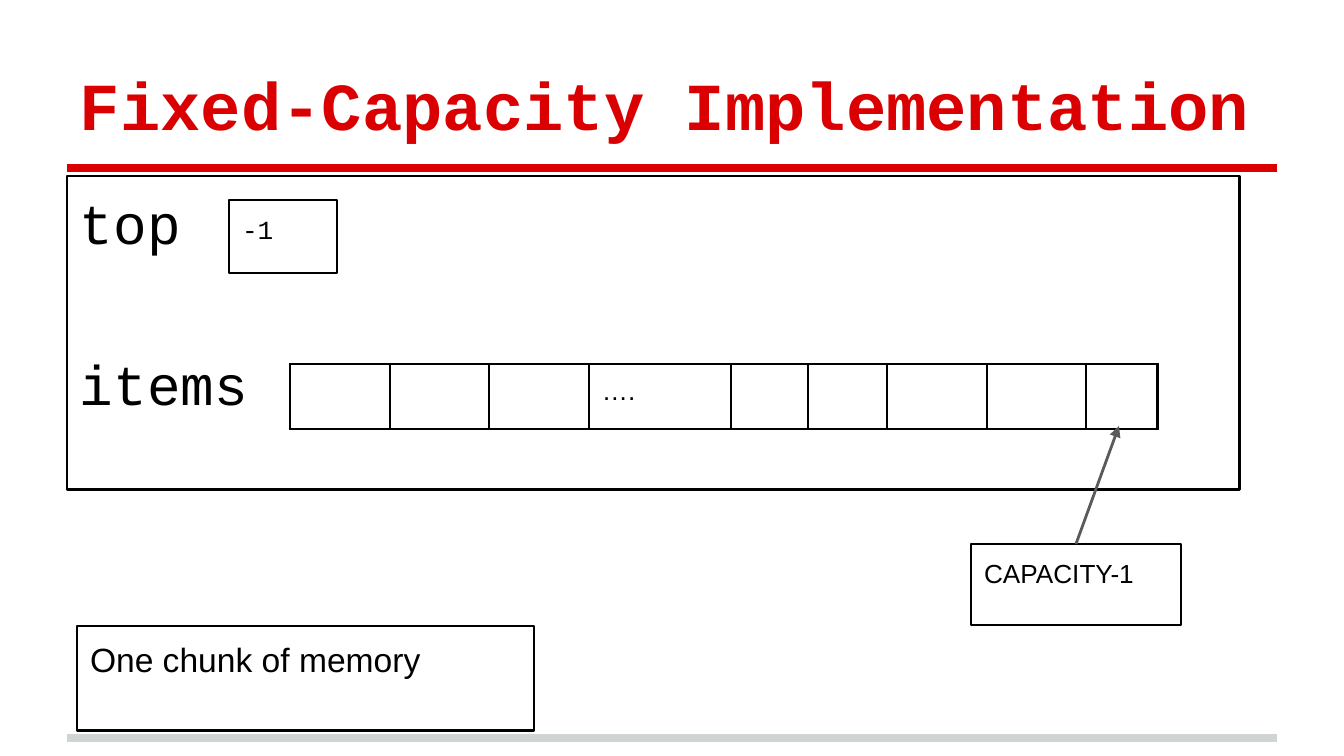
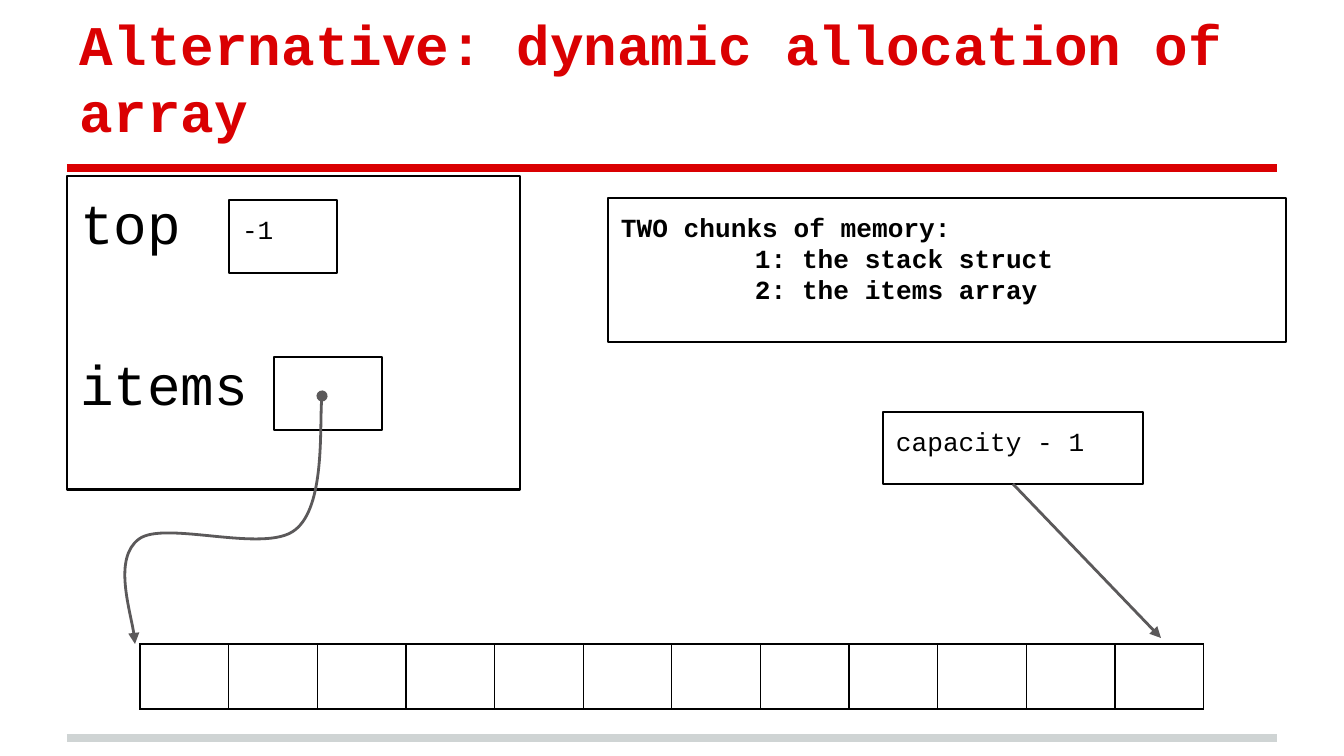
from dataclasses import dataclass

from lxml import etree
from pptx import Presentation
from pptx import util as u
from pptx.dml.color import RGBColor
from pptx.enum import shapes, text
from pptx.oxml import ns

SCALE = 914400 / 134.4  # EMU in one pixel


@dataclass(frozen=True)
class Theme:
    """Colours, fonts, type sizes (pt), line widths (pt) and text inset (px)."""
    red: str = "DA0002"
    grey: str = "CFD4D4"
    ink: str = "000000"
    arrow: str = "5B595A"
    mono: str = "Courier New"
    sans: str = "Arial"
    field: int = 30
    note: int = 18
    small: int = 14
    thick: float = 4
    line: float = 1.5
    thin: float = 0.75
    inset: int = 13


T = Theme()
SIZE = (1344, 756)
TITLE_AREA = (67, 31, 1210, 126)
RULES = [(738, T.grey), (168, T.red)]
FIELDS = ["top", "items"]
FIELD_GAPS = [6, 50]
TOP_CELL = (229, 200, 108, 73)
ROW_HEIGHT = 65

# Text boxes: area, lines, format
TOP_VALUE = (TOP_CELL, ["-1"], {})
FIXED = {
    "title": ("Fixed-Capacity Implementation", 36),
    "struct": (67, 176, 1173, 314),
    "array": dict(left=290, top=364, width=T.line,
                  columns=[100, 99, 100, 142, 77, 79, 100, 99, 72],
                  labels={3: "\u2026."}),
    "boxes": [
        ((971, 544, 210, 81), ["CAPACITY-1"], dict(font=T.sans)),
        ((77, 626, 457, 105), ["One chunk of memory"],
         dict(font=T.sans, size=T.note)),
        TOP_VALUE,
    ],
    "arrow": ((1076, 544), (1119, 426)),
}
DYNAMIC = {
    "title": ("Alternative: dynamic allocation of array", 30),
    "struct": (67, 176, 453, 314),
    "array": dict(left=140, top=644, width=T.thin,
                  columns=[1064 / 12] * 12, labels={}),
    "boxes": [
        TOP_VALUE,
        ((274, 357, 108, 73), [], {}),
        ((883, 412, 260, 72), ["capacity - 1"], {}),
        ((608, 198, 678, 144),
         ["TWO chunks of memory:", "1: the stack struct", "2: the items array"],
         dict(bold=True, indents=[0, 134, 134], outline=T.thin)),
    ],
    "arrow": ((1013, 484), (1161, 638)),
    "pointer": [(322, 396),
                (319, 419), (325, 507), (295, 530),
                (265, 554), (165, 520), (139, 539),
                (113, 558), (135, 626), (135, 644)],
}


def px(value):
    """Turn pixels into EMU."""
    return u.Emu(round(value * SCALE))


def rgb(colour):
    """Turn a hex string into a colour."""
    return RGBColor.from_string(colour)


def write(frame, lines, font=T.mono, size=T.small, colour=T.ink, bold=False,
          gaps=(), indents=(), anchor=text.MSO_ANCHOR.TOP):
    """Fill a text frame with lines in one format."""
    frame.word_wrap = True
    frame.vertical_anchor = anchor
    frame.margin_left = frame.margin_right = px(T.inset)
    frame.margin_top = frame.margin_bottom = px(T.inset)
    for i, line in enumerate(lines):
        paragraph = frame.paragraphs[0] if i == 0 else frame.add_paragraph()
        paragraph.alignment = text.PP_ALIGN.LEFT
        if gaps:
            paragraph.space_before = u.Pt(gaps[i])
        if indents:
            properties = paragraph._p.get_or_add_pPr()
            properties.set("marL", str(px(indents[i])))
            properties.set("indent", "0")
        run = paragraph.add_run()
        run.text = line
        run.font.name, run.font.size, run.font.bold = font, u.Pt(size), bold
        run.font.color.rgb = rgb(colour)


def box(slide, area, lines, outline=T.line, **style):
    """Draw an unfilled outlined rectangle with text."""
    shape = slide.shapes.add_shape(shapes.MSO_SHAPE.RECTANGLE, *map(px, area))
    shape.shadow.inherit = False
    shape.fill.background()
    shape.line.color.rgb = rgb(T.ink)
    shape.line.width = u.Pt(outline)
    write(shape.text_frame, lines, **style)


def set_ends(shape, **ends):
    """Add arrowheads: headEnd and tailEnd, in that order."""
    outline = shape.line._get_or_add_ln()
    for end, kind in ends.items():
        etree.SubElement(outline, ns.qn("a:" + end), type=kind)


def connect(slide, start, end, colour, width):
    """Draw a straight line without a shadow."""
    line = slide.shapes.add_connector(
        shapes.MSO_CONNECTOR.STRAIGHT, *map(px, start + end))
    line.line.color.rgb = rgb(colour)
    line.line.width = u.Pt(width)
    etree.SubElement(line._element.spPr, ns.qn("a:effectLst"))
    return line


def draw_pointer(slide, points):
    """Draw a curve through cubic control points, from a dot to an arrow."""
    builder = slide.shapes.build_freeform(*points[0], scale=SCALE)
    builder.add_line_segments(points[1:], close=False)
    curve = builder.convert_to_shape()
    segments = list(curve._element.iter(ns.qn("a:lnTo")))
    for i in range(0, len(segments), 3):
        bezier = etree.Element(ns.qn("a:cubicBezTo"))
        segments[i].addprevious(bezier)
        for segment in segments[i:i + 3]:
            bezier.append(segment[0])
            segment.getparent().remove(segment)
    curve.shadow.inherit = False
    curve.fill.background()
    curve.line.color.rgb = rgb(T.arrow)
    curve.line.width = u.Pt(T.line)
    set_ends(curve, headEnd="oval", tailEnd="triangle")


def set_borders(cell, width):
    """Put a line on all four sides of a cell."""
    properties = cell._tc.get_or_add_tcPr()
    for i, side in enumerate("LRTB"):
        border = etree.Element(ns.qn("a:ln" + side), w=str(u.Pt(width)))
        fill = etree.SubElement(border, ns.qn("a:solidFill"))
        etree.SubElement(fill, ns.qn("a:srgbClr"), val=T.ink)
        properties.insert(i, border)


def draw_array(slide, left, top, width, columns, labels):
    """Draw the items array as a one-row table."""
    table = slide.shapes.add_table(
        1, len(columns), px(left), px(top), px(sum(columns)), px(ROW_HEIGHT)).table
    table.first_row = table.horz_banding = False
    for i, column in enumerate(columns):
        table.columns[i].width = px(column)
        cell = table.cell(0, i)
        cell.fill.background()
        cell.margin_left = cell.margin_right = cell.margin_top = px(T.inset)
        cell.margin_bottom = 0
        set_borders(cell, width)
        if i in labels:
            run = cell.text_frame.paragraphs[0].add_run()
            run.text = labels[i]
            run.font.name, run.font.size = T.sans, u.Pt(T.small)
            run.font.color.rgb = rgb(T.ink)


def build_slide(deck, content):
    """Add one slide: rules, title, struct, array, boxes and arrows."""
    slide = deck.slides.add_slide(deck.slide_layouts[6])
    for y, colour in RULES:
        connect(slide, (67, y), (1277, y), colour, T.thick)
    title, size = content["title"]
    heading = slide.shapes.add_textbox(*map(px, TITLE_AREA))
    write(heading.text_frame, [title], size=size, colour=T.red, bold=True,
          anchor=text.MSO_ANCHOR.BOTTOM)
    box(slide, content["struct"], FIELDS, size=T.field, gaps=FIELD_GAPS)
    draw_array(slide, **content["array"])
    for area, lines, style in content["boxes"]:
        box(slide, area, lines, **style)
    arrow = connect(slide, *content["arrow"], T.arrow, T.line)
    set_ends(arrow, tailEnd="triangle")
    if "pointer" in content:
        draw_pointer(slide, content["pointer"])


deck = Presentation()
deck.slide_width, deck.slide_height = map(px, SIZE)
for content in (FIXED, DYNAMIC):
    build_slide(deck, content)
deck.save("out.pptx")
